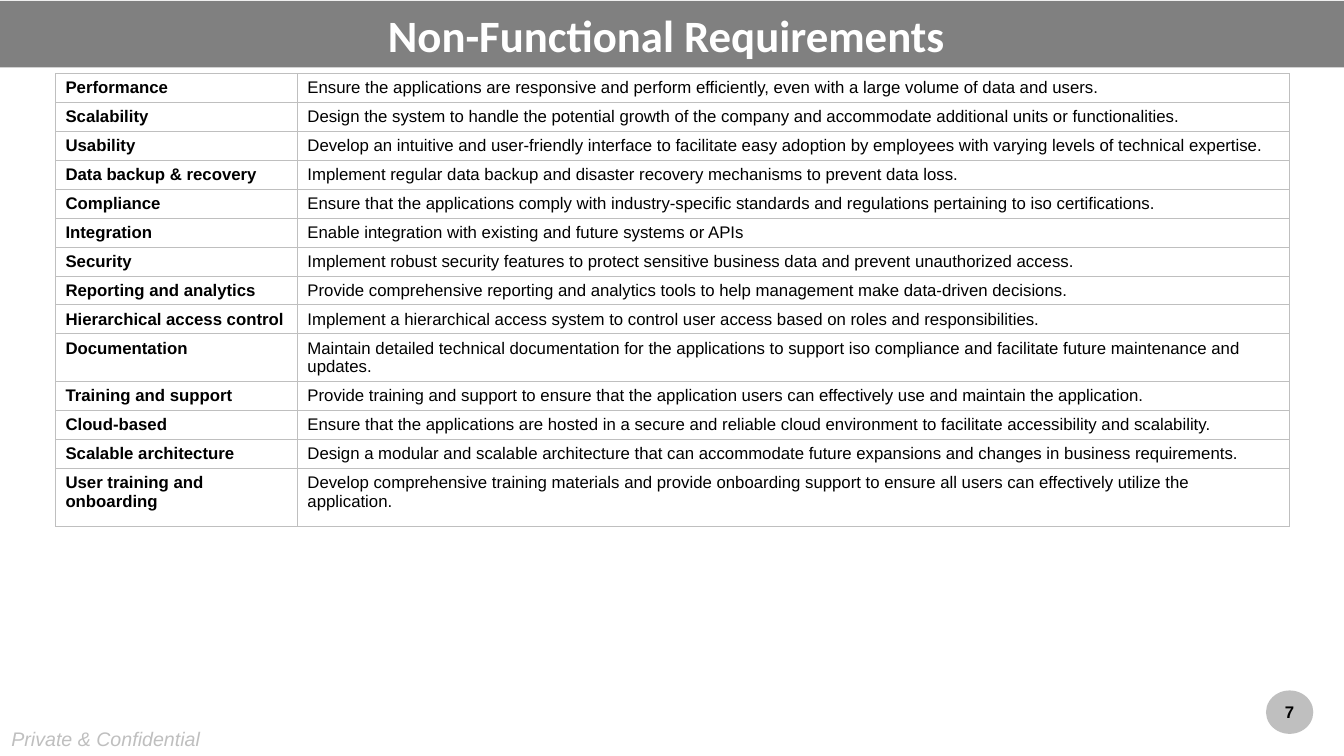
import dataclasses

import lxml.etree
import pptx
import pptx.dml.color
import pptx.enum.shapes
import pptx.enum.text
import pptx.oxml.ns
import pptx.util

Pt = pptx.util.Pt

COLOURS = {"bar": "808080", "pale": "BFBFBF", "white": "FFFFFF", "black": "000000"}


@dataclasses.dataclass(frozen=True)
class TextStyle:
    size: float
    colour: str
    font: str = "Arial"
    bold: bool = False
    italic: bool = False


@dataclasses.dataclass(frozen=True)
class Requirement:
    name: str
    description: str


TITLE_STYLE = TextStyle(32, "white", font="Calibri", bold=True)
NAME_STYLE = TextStyle(12, "black", bold=True)
DESCRIPTION_STYLE = TextStyle(12, "black")
FOOTER_STYLE = TextStyle(14, "pale", italic=True)

REQUIREMENTS = [
    Requirement("Performance", "Ensure the applications are responsive and perform efficiently, "
                "even with a large volume of data and users."),
    Requirement("Scalability", "Design the system to handle the potential growth of the company "
                "and accommodate additional units or functionalities."),
    Requirement("Usability", "Develop an intuitive and user-friendly interface to facilitate easy "
                "adoption by employees with varying levels of technical expertise."),
    Requirement("Data backup & recovery", "Implement regular data backup and disaster recovery "
                "mechanisms to prevent data loss."),
    Requirement("Compliance", "Ensure that the applications comply with industry-specific "
                "standards and regulations pertaining to iso certifications."),
    Requirement("Integration", "Enable integration with existing and future systems or APIs"),
    Requirement("Security", "Implement robust security features to protect sensitive business "
                "data and prevent unauthorized access."),
    Requirement("Reporting and analytics", "Provide comprehensive reporting and analytics tools "
                "to help management make data-driven decisions."),
    Requirement("Hierarchical access control", "Implement a hierarchical access system to control "
                "user access based on roles and responsibilities."),
    Requirement("Documentation", "Maintain detailed technical documentation for the applications "
                "to support iso compliance and facilitate future maintenance and updates."),
    Requirement("Training and support", "Provide training and support to ensure that the "
                "application users can effectively use and maintain the application."),
    Requirement("Cloud-based", "Ensure that the applications are hosted in a secure and reliable "
                "cloud environment to facilitate accessibility and scalability."),
    Requirement("Scalable architecture", "Design a modular and scalable architecture that can "
                "accommodate future expansions and changes in business requirements."),
    Requirement("User training and onboarding", "Develop comprehensive training materials and "
                "provide onboarding support to ensure all users can effectively utilize the "
                "application."),
]
COLUMN_WIDTHS = (172.8, 708.5)
ROW_HEIGHT = 15.12
LAST_ROW_HEIGHT = 41.76


def rgb(name: str) -> pptx.dml.color.RGBColor:
    return pptx.dml.color.RGBColor.from_string(COLOURS[name])


def write(frame, text: str, style: TextStyle, centred: bool = False) -> None:
    frame.text = text
    para = frame.paragraphs[0]
    if centred:
        para.alignment = pptx.enum.text.PP_ALIGN.CENTER
    for span in para.runs:
        span.font.name = style.font
        span.font.size = Pt(style.size)
        span.font.bold = style.bold
        span.font.italic = style.italic
        span.font.color.rgb = rgb(style.colour)


def fill(shape, colour: str) -> None:
    shape.fill.solid()
    shape.fill.fore_color.rgb = rgb(colour)
    shape.line.fill.background()


def add_borders(cell, colour: str, width: float) -> None:
    properties = cell._tc.get_or_add_tcPr()
    qn = pptx.oxml.ns.qn
    for side in ("a:lnL", "a:lnR", "a:lnT", "a:lnB"):
        line = lxml.etree.SubElement(properties, qn(side), w=str(int(Pt(width))))
        solid = lxml.etree.SubElement(line, qn("a:solidFill"))
        lxml.etree.SubElement(solid, qn("a:srgbClr"), val=COLOURS[colour])


def add_title(page) -> None:
    title = page.shapes.title
    title.left, title.top, title.width, title.height = Pt(0), Pt(0.7), Pt(960), Pt(47.5)
    fill(title, "bar")
    frame = title.text_frame
    write(frame, "Non-Functional Requirements", TITLE_STYLE, centred=True)
    frame.auto_size = pptx.enum.text.MSO_AUTO_SIZE.NONE
    frame.vertical_anchor = pptx.enum.text.MSO_ANCHOR.MIDDLE
    # The wider right inset sets the heading slightly left of centre
    frame.margin_right = Pt(15)


def add_requirements(page) -> None:
    heights = [ROW_HEIGHT] * (len(REQUIREMENTS) - 1) + [LAST_ROW_HEIGHT]
    table = page.shapes.add_table(len(heights), len(COLUMN_WIDTHS), Pt(39.6), Pt(52.5),
                                  Pt(sum(COLUMN_WIDTHS)), Pt(sum(heights))).table
    table.first_row = table.horz_banding = False
    for column, width in zip(table.columns, COLUMN_WIDTHS):
        column.width = Pt(width)
    for row, height, requirement in zip(table.rows, heights, REQUIREMENTS):
        row.height = Pt(height)
        entries = ((requirement.name, NAME_STYLE), (requirement.description, DESCRIPTION_STYLE))
        for cell, (text, style) in zip(row.cells, entries):
            write(cell.text_frame, text, style)
            add_borders(cell, "pale", 0.75)
            cell.fill.background()


def add_footer(page) -> None:
    box = page.shapes.add_textbox(Pt(0), Pt(515.5), Pt(151.2), Pt(24.5))
    box.text_frame.word_wrap = False
    write(box.text_frame, "Private & Confidential", FOOTER_STYLE, centred=True)


def add_page_number(page) -> None:
    badge = page.shapes.add_shape(pptx.enum.shapes.MSO_SHAPE.OVAL,
                                  Pt(904.3), Pt(493.2), Pt(33.8), Pt(31))
    badge.shadow.inherit = False
    fill(badge, "pale")
    frame = badge.text_frame
    frame.margin_left = frame.margin_right = frame.margin_top = frame.margin_bottom = Pt(0)
    frame.vertical_anchor = pptx.enum.text.MSO_ANCHOR.MIDDLE
    write(frame, "7", NAME_STYLE, centred=True)


def main() -> None:
    deck = pptx.Presentation()
    deck.slide_width, deck.slide_height = Pt(960), Pt(540)
    page = deck.slides.add_slide(deck.slide_layouts.get_by_name("Title Only"))

    # Heading bar, table, then the foot of the page
    add_title(page)
    add_requirements(page)
    add_footer(page)
    add_page_number(page)
    deck.save("out.pptx")


if __name__ == "__main__":
    main()
